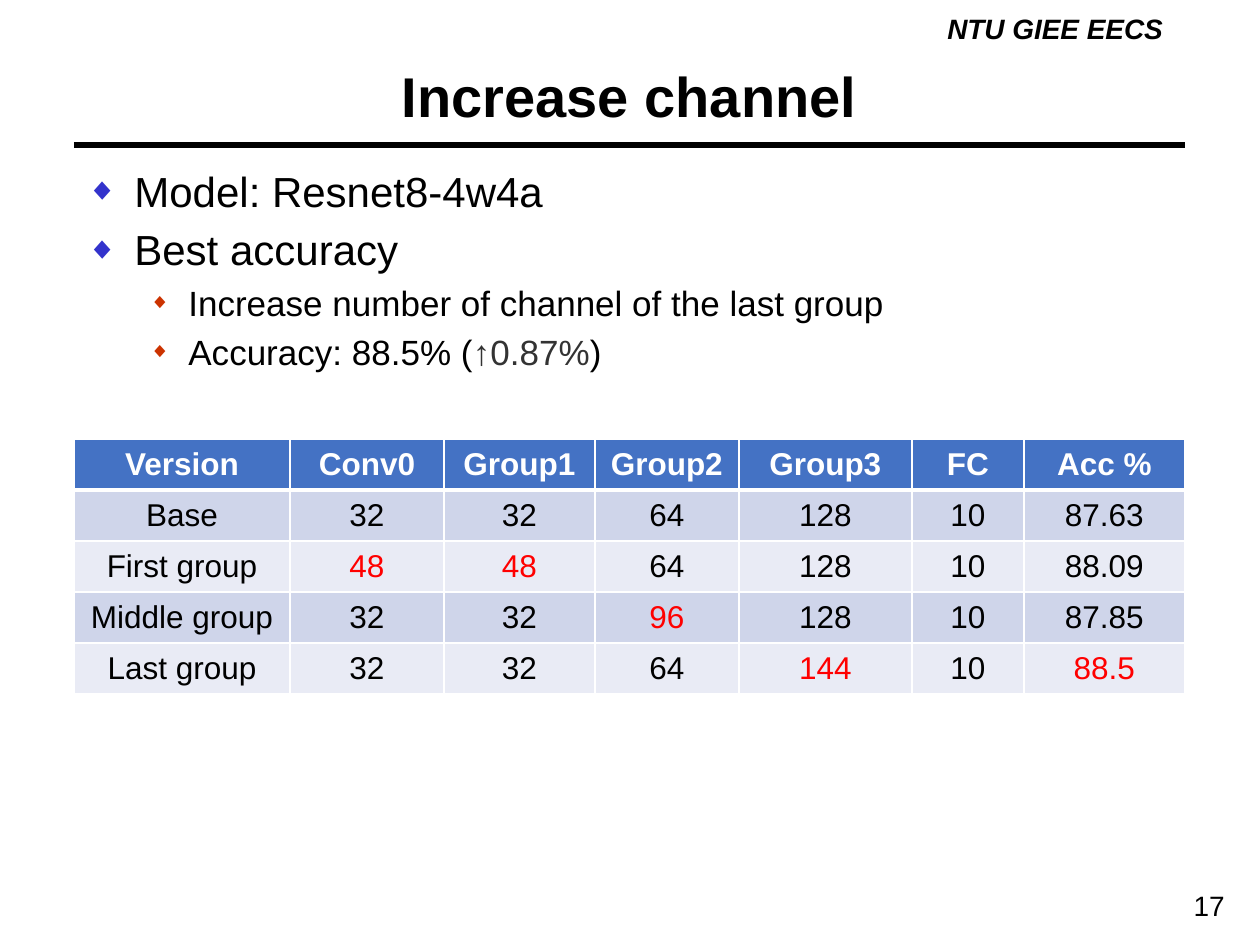
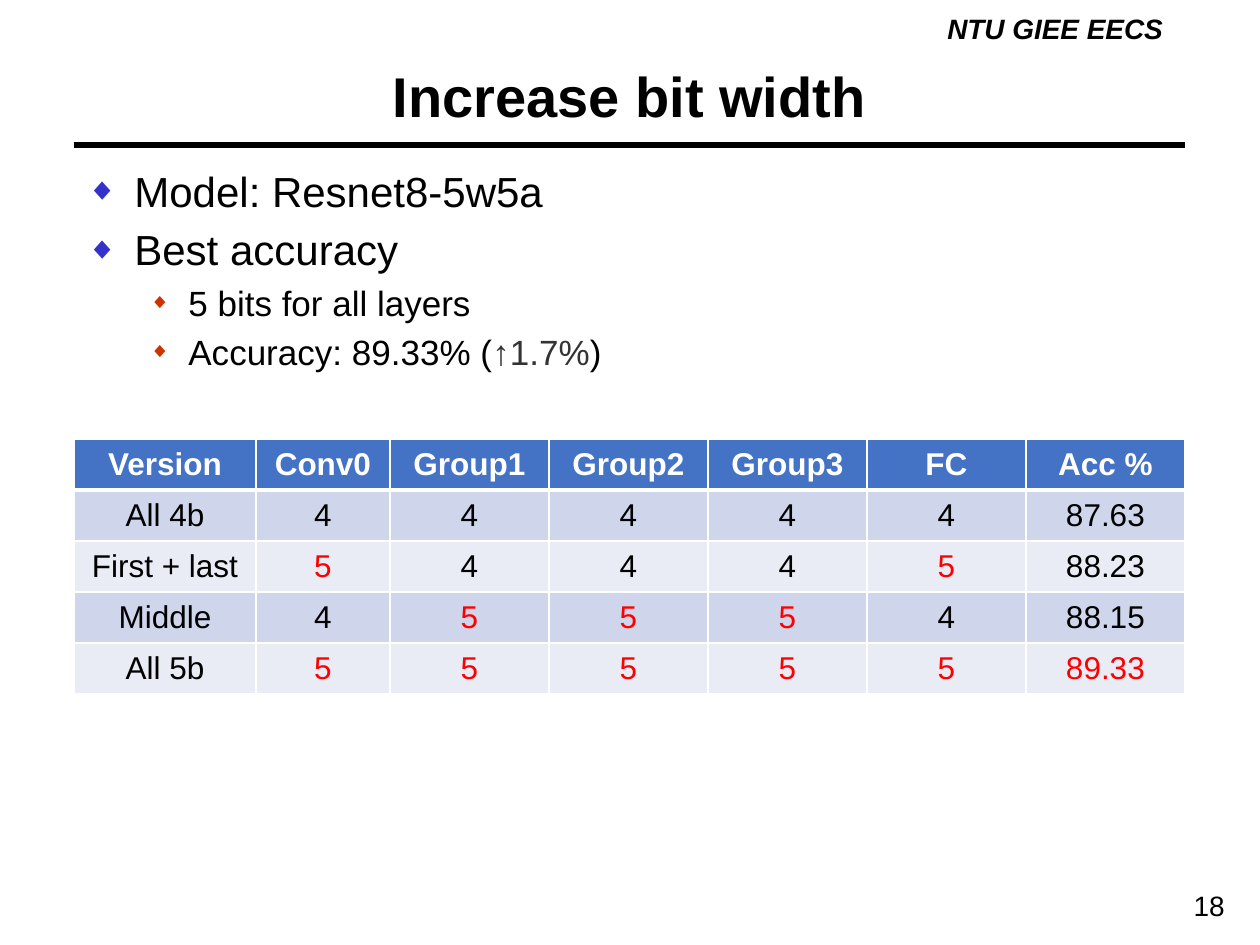
from lxml.etree import SubElement
from pptx import Presentation
from pptx.dml.color import RGBColor
from pptx.enum.shapes import MSO_CONNECTOR
from pptx.enum.text import MSO_ANCHOR, PP_ALIGN
from pptx.oxml.ns import qn
from pptx.util import Pt

PX = 914400 / 126
FONT = "Arial"
BLACK = RGBColor(0, 0, 0)
WHITE = RGBColor(255, 255, 255)
GRAY = RGBColor(0x33, 0x33, 0x33)
RED = RGBColor(255, 0, 0)
HEADER = RGBColor(0x44, 0x72, 0xC4)
BANDS = [RGBColor(0xCF, 0xD5, 0xEA), RGBColor(0xE9, 0xEB, 0xF5)]
BLUE_BULLET = RGBColor(0x33, 0x33, 0xCC)
RED_BULLET = RGBColor(0xCC, 0x33, 0x00)

LEFT, WIDTH, ROW = 74, 1111, 51
LEVELS = [
    dict(size=24, margin=48, hang=48, color=BLUE_BULLET, percent=75),
    dict(size=20, margin=102, hang=39, color=RED_BULLET, percent=60),
]
COLUMNS = ["Version", "Conv0", "Group1", "Group2", "Group3", "FC", "Acc %"]
SLIDES = [
    dict(
        number=17,
        title="Increase channel",
        bullets=[
            (0, ["Model: Resnet8-4w4a"]),
            (0, ["Best accuracy"]),
            (1, ["Increase number of channel of the last group"]),
            (1, ["Accuracy: 88.5% (", "↑0.87%", ")"]),
        ],
        widths=[216, 154, 151, 144, 173, 112, 161],
        rows=[
            ["Base", "32", "32", "64", "128", "10", "87.63"],
            ["First group", "48", "48", "64", "128", "10", "88.09"],
            ["Middle group", "32", "32", "96", "128", "10", "87.85"],
            ["Last group", "32", "32", "64", "144", "10", "88.5"],
        ],
    ),
    dict(
        number=18,
        title="Increase bit width",
        bullets=[
            (0, ["Model: Resnet8-5w5a"]),
            (0, ["Best accuracy"]),
            (1, ["5 bits for all layers"]),
            (1, ["Accuracy: 89.33% (", "↑1.7%", ")"]),
        ],
        widths=[182, 134] + [159] * 5,
        rows=[
            ["All 4b", "4", "4", "4", "4", "4", "87.63"],
            ["First + last", "5", "4", "4", "4", "5", "88.23"],
            ["Middle", "4", "5", "5", "5", "4", "88.15"],
            ["All 5b", "5", "5", "5", "5", "5", "89.33"],
        ],
    ),
]


def px(*lengths):
    return [round(n * PX) for n in lengths]


def add_run(p, text, size, color=BLACK, bold=False, italic=False):
    r = p.add_run()
    r.text = text
    r.font.name = FONT
    r.font.size = Pt(size)
    r.font.color.rgb = color
    r.font.bold = bold
    r.font.italic = italic


prs = Presentation()
prs.slide_width, prs.slide_height = px(1260, 945)

for page in SLIDES:
    s = prs.slides.add_slide(prs.slide_layouts[6])

    labels = [
        ((935, 5, 242, 47), "NTU GIEE EECS", 16, True, True, PP_ALIGN.LEFT),
        ((1135, 882, 102, 47), str(page["number"]), 16, False, False, PP_ALIGN.RIGHT),
        ((LEFT, 50, WIDTH, 91), page["title"], 32, True, False, PP_ALIGN.CENTER),
    ]
    for box, text, size, bold, italic, align in labels:
        tf = s.shapes.add_textbox(*px(*box)).text_frame
        tf.word_wrap = True
        tf.vertical_anchor = MSO_ANCHOR.MIDDLE
        p = tf.paragraphs[0]
        p.alignment = align
        add_run(p, text, size, bold=bold, italic=italic)

    rule = s.shapes.add_connector(
        MSO_CONNECTOR.STRAIGHT, *px(LEFT, 145, LEFT + WIDTH, 145))
    rule.line.color.rgb = BLACK
    rule.line.width = Pt(3)
    SubElement(rule._element.spPr, qn("a:effectLst"))

    tf = s.shapes.add_textbox(*px(LEFT, 159, WIDTH, 724)).text_frame
    tf.word_wrap = True
    for i, (level, texts) in enumerate(page["bullets"]):
        style = LEVELS[level]
        p = tf.add_paragraph() if i else tf.paragraphs[0]
        p.level = level
        pPr = p._p.get_or_add_pPr()
        margin, hang = px(style["margin"], style["hang"])
        pPr.set("marL", str(margin))
        pPr.set("indent", str(-hang))
        before = SubElement(pPr, qn("a:spcBef"))
        SubElement(before, qn("a:spcPct"), val="20000")
        color = SubElement(pPr, qn("a:buClr"))
        SubElement(color, qn("a:srgbClr"), val=str(style["color"]))
        SubElement(pPr, qn("a:buSzPct"), val=str(style["percent"] * 1000))
        SubElement(pPr, qn("a:buFont"), typeface=FONT)
        SubElement(pPr, qn("a:buChar"), char="◆")
        for text in texts:
            add_run(p, text, style["size"], GRAY if text.startswith("↑") else BLACK)

    rows = page["rows"]
    best = max((row[-1] for row in rows), key=float)
    table = s.shapes.add_table(
        len(rows) + 1, len(COLUMNS),
        *px(LEFT, 439, WIDTH, ROW * (len(rows) + 1))).table
    for column, width in zip(table.columns, px(*page["widths"])):
        column.width = width
    for i, values in enumerate([COLUMNS] + rows):
        table.rows[i].height = px(ROW)[0]
        for j, value in enumerate(values):
            cell = table.cell(i, j)
            cell.vertical_anchor = MSO_ANCHOR.MIDDLE
            p = cell.text_frame.paragraphs[0]
            p.alignment = PP_ALIGN.CENTER
            changed = value == best if j == len(COLUMNS) - 1 else j and value != rows[0][j]
            color = WHITE if i == 0 else RED if changed else BLACK
            add_run(p, value, 18, color, bold=i == 0)
            tcPr = cell._tc.get_or_add_tcPr()
            for side in "LRTB":
                thick = (side, i) in [("B", 0), ("T", 1)]
                ln = SubElement(tcPr, qn("a:ln" + side), w=str(Pt(3 if thick else 1)))
                fill = SubElement(ln, qn("a:solidFill"))
                SubElement(fill, qn("a:srgbClr"), val=str(WHITE))
            cell.fill.solid()
            cell.fill.fore_color.rgb = BANDS[(i - 1) % 2] if i else HEADER

prs.save("out.pptx")
